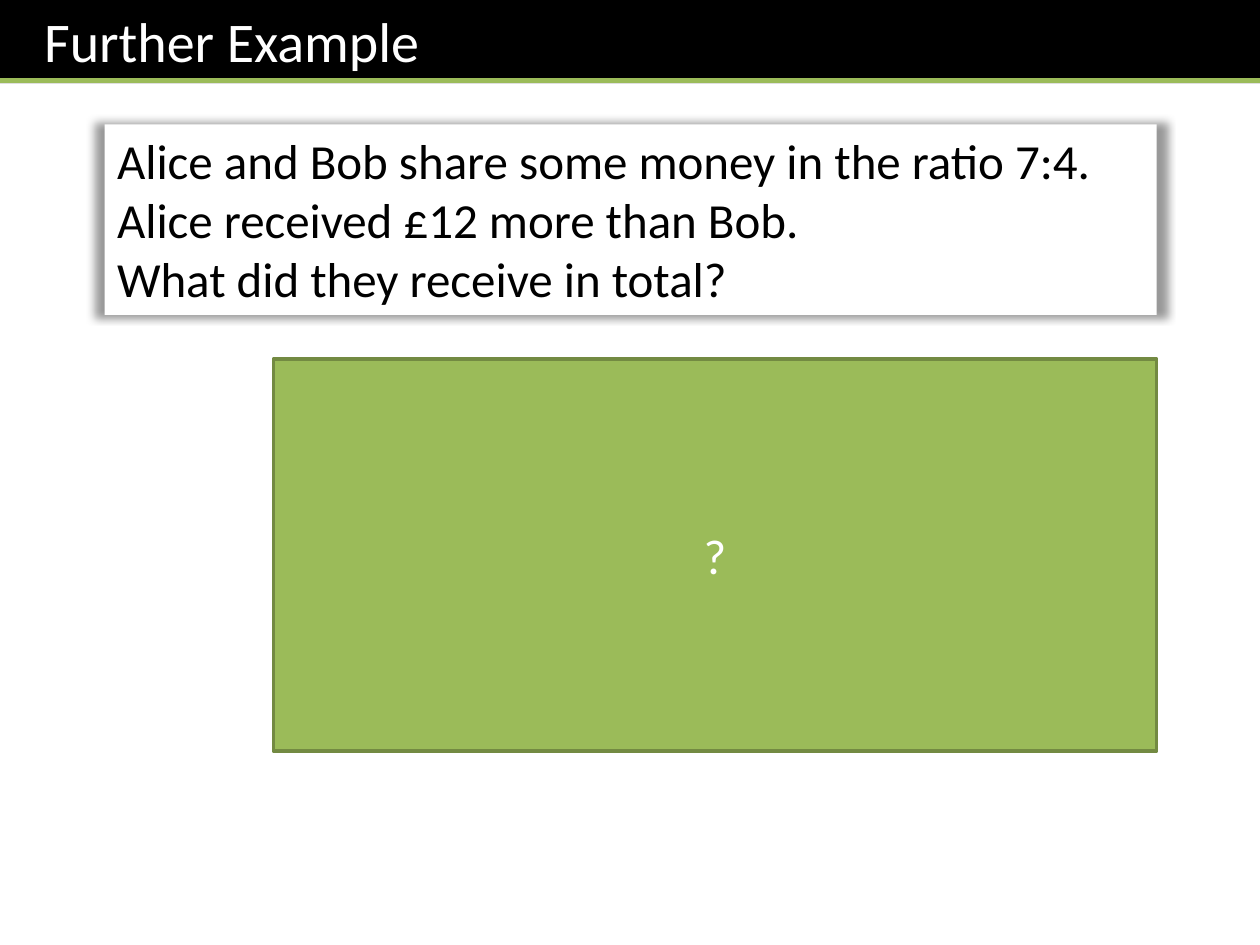
from dataclasses import dataclass, field

from lxml import etree
from pptx import Presentation
from pptx import util as u
from pptx.dml.color import RGBColor
from pptx.enum import shapes, text
from pptx.oxml import ns

COLOURS = {
    "black": "000000",
    "white": "FFFFFF",
    "green": "9BBB59",
    "olive": "738A42",
}
WIDTH, HEIGHT = 25.4, 19.05
RIGHT = 23.32


@dataclass
class Panel:
    """A filled rectangle with text; lengths in centimetres."""
    left: float
    top: float
    width: float
    height: float
    lines: list[str]
    fill: str
    colour: str
    size: int = 28
    border: str = ""
    shadow: bool = False
    align: text.PP_ALIGN = text.PP_ALIGN.LEFT
    frame: dict = field(default_factory=dict)


PANELS = [
    Panel(0, 0, WIDTH, 1.68, ["Further Example"], "black", "white", size=32,
          frame={"margin_left": u.Cm(0.89)}),
    Panel(2.11, 2.51, RIGHT - 2.11, 3.84,
          ["Alice and Bob share some money in the ratio 7:4.",
           "Alice received £12 more than Bob.",
           "What did they receive in total?"],
          "white", "black", shadow=True),
    Panel(5.51, 7.24, RIGHT - 5.51, 7.9, ["?"], "green", "white",
          border="olive", align=text.PP_ALIGN.CENTER,
          frame={"vertical_anchor": text.MSO_ANCHOR.MIDDLE}),
]


def rgb(name: str) -> RGBColor:
    """Look up a named colour."""
    return RGBColor.from_string(COLOURS[name])


def add_glow_shadow(sp) -> None:
    """Give a shape a soft shadow spread evenly round its centre."""
    effects = sp._element.spPr.find(ns.qn("a:effectLst"))
    outer = etree.SubElement(effects, ns.qn("a:outerShdw"), blurRad="63500",
                             sx="102000", sy="102000", algn="ctr", rotWithShape="0")
    colour = etree.SubElement(outer, ns.qn("a:srgbClr"), val=COLOURS["black"])
    etree.SubElement(colour, ns.qn("a:alpha"), val="40000")


def draw_panel(s, panel: Panel) -> None:
    """Draw a panel and its paragraphs."""
    box = (u.Cm(v) for v in (panel.left, panel.top, panel.width, panel.height))
    sp = s.shapes.add_shape(shapes.MSO_SHAPE.RECTANGLE, *box)
    sp.shadow.inherit = False
    sp.fill.solid()
    sp.fill.fore_color.rgb = rgb(panel.fill)
    if panel.border:
        sp.line.color.rgb = rgb(panel.border)
        sp.line.width = u.Pt(2)
    else:
        sp.line.fill.background()
    if panel.shadow:
        add_glow_shadow(sp)
    tf = sp.text_frame
    frame = {"word_wrap": True, "vertical_anchor": text.MSO_ANCHOR.TOP} | panel.frame
    for name, value in frame.items():
        setattr(tf, name, value)
    for i, line in enumerate(panel.lines):
        p = tf.add_paragraph() if i else tf.paragraphs[0]
        p.alignment = panel.align
        r = p.add_run()
        r.text = line
        for name, value in {"name": "Calibri", "size": u.Pt(panel.size)}.items():
            setattr(r.font, name, value)
        r.font.color.rgb = rgb(panel.colour)


def draw_rule(s, y: float) -> None:
    """Draw the green rule across the slide."""
    rule = s.shapes.add_connector(shapes.MSO_CONNECTOR.STRAIGHT,
                                  0, u.Cm(y), u.Cm(WIDTH), u.Cm(y))
    rule.line.color.rgb = rgb("green")
    rule.line.width = u.Pt(3)
    etree.SubElement(rule._element.spPr, ns.qn("a:effectLst"))


def main() -> None:
    """Build the slide and save it."""
    prs = Presentation()
    prs.slide_width, prs.slide_height = u.Cm(WIDTH), u.Cm(HEIGHT)
    s = prs.slides.add_slide(prs.slide_layouts[6])
    title, *body = PANELS
    draw_panel(s, title)
    draw_rule(s, 1.63)
    for panel in body:
        draw_panel(s, panel)
    prs.save("out.pptx")


if __name__ == "__main__":
    main()
